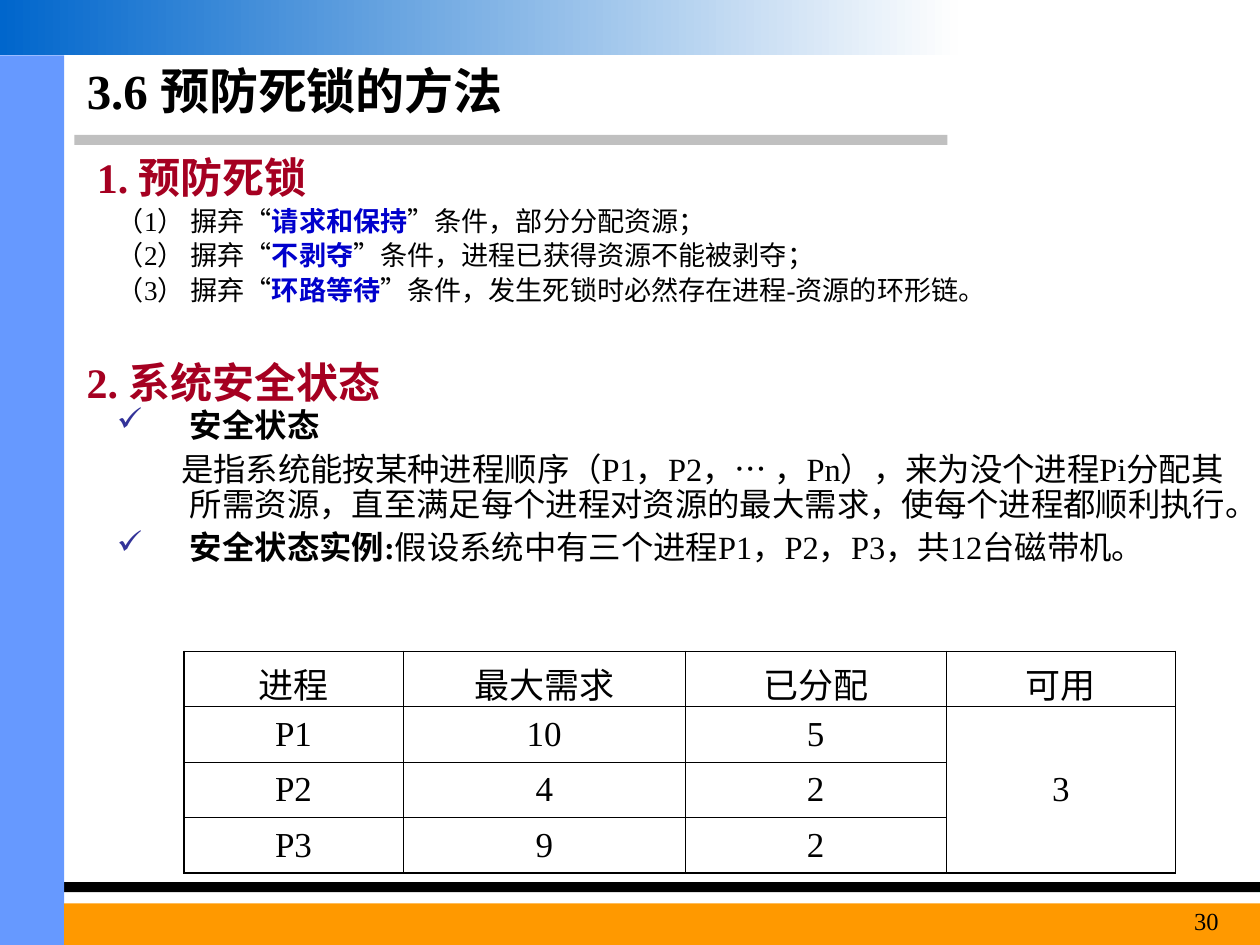
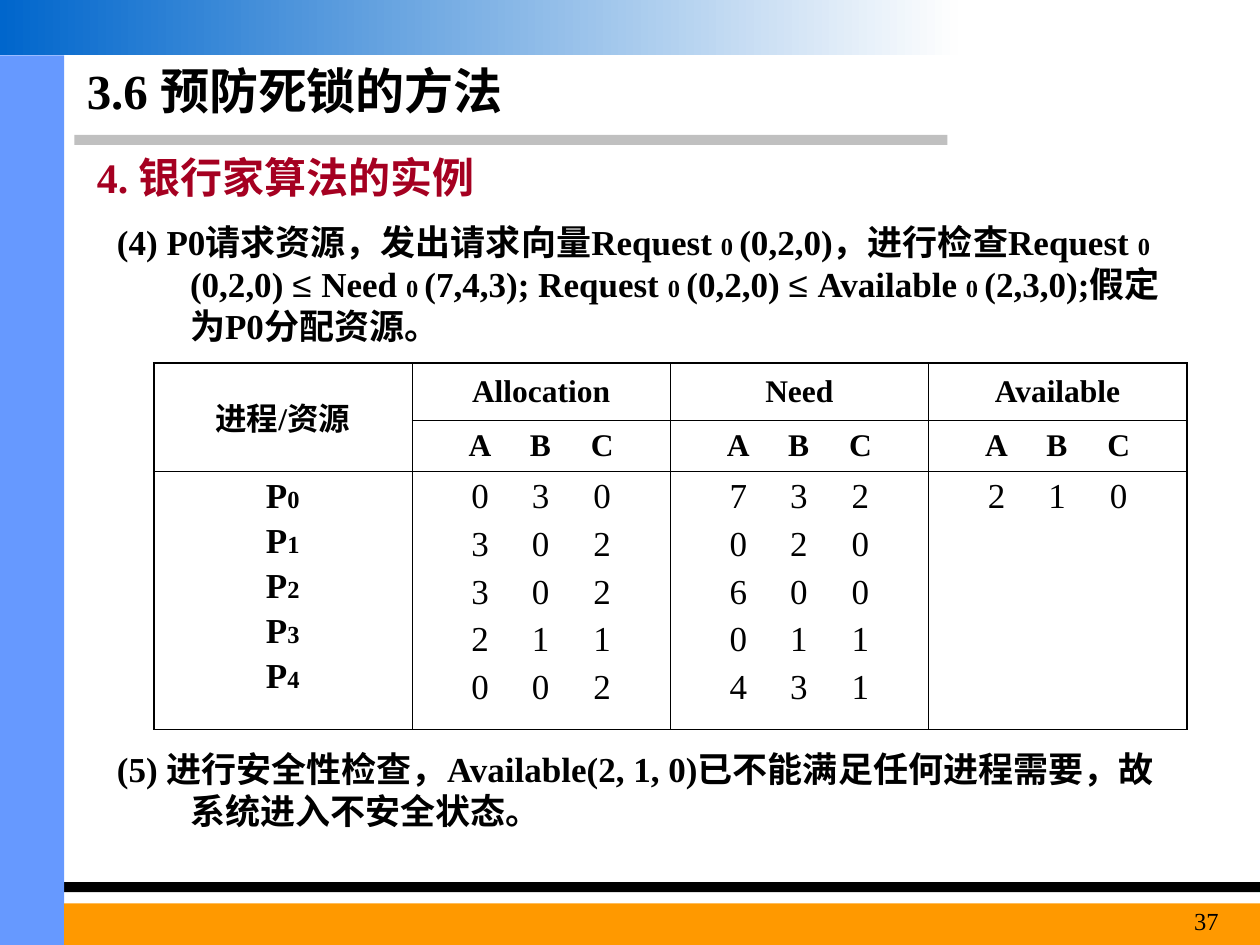
from lxml import etree
from pptx import Presentation
from pptx import util as u
from pptx.dml.color import RGBColor
from pptx.enum import shapes, text
from pptx.oxml import ns

COLORS = {"black": "000000", "gray": "C0C0C0", "side": "6699FF", "footer": "FF9900",
          "band_light": "FEFEFE", "band_dark": "0066CC", "heading": "A50021",
          "term": "0000CC", "check": "333399"}
FONT = "Times New Roman"
THICK, THIN = 1.08, 0.45
HANGING = (0.58, -0.58)
ABC_TABS = (0.44, 0.92, 1.41)

STYLES = {
    "term": {"bold": True, "color": "term"},
    "bold": {"bold": True},
    "index": {"size": 14},
    "sign": {"bold": False, "name": "Arial"},
}

TITLE = "3.6 预防死锁的方法"
BARS = [
    ((0.59, 1.07, 6.93, 0.08), "gray"),
    ((0, 7, 10, 0.08), "black"),
    ((0, 0.44, 0.51, 7.06), "side"),
    ((0.51, 7.17, 9.49, 0.33), "footer"),
]

CONDITIONS = [
    ("1", "请求和保持", "条件，部分分配资源；"),
    ("2", "不剥夺", "条件，进程已获得资源不能被剥夺；"),
    ("3", "环路等待", "条件，发生死锁时必然存在进程-资源的环形链。"),
]
SAFE_STATE = [
    ([("安全状态", "bold")], HANGING, True),
    (["是指系统能按某种进程顺序（P1，P2，… ，Pn），来为没个进程Pi分配其所需资源，"
      "直至满足每个进程对资源的最大需求，使每个进程都顺利执行。"], (0.58, -0.07), False),
    ([("安全状态实例:", "bold"), "假设系统中有三个进程P1，P2，P3，共12台磁带机。"],
     HANGING, True),
]
TAPE_ROWS = [
    ("进程", "最大需求", "已分配", "可用"),
    ("P1", "10", "5", "3"),
    ("P2", "4", "2", None),
    ("P3", "9", "2", None),
]

ZERO = ("0 ", "index")
AT_MOST = ("≤ ", "sign")
REQUEST = [
    "(4) P0请求资源，发出请求向量Request ", ZERO, "(0,2,0)，进行检查Request ", ZERO,
    "(0,2,0) ", AT_MOST, "Need ", ZERO, "(7,4,3); Request ", ZERO,
    "(0,2,0) ", AT_MOST, "Available ", ZERO, "(2,3,0);假定为P0分配资源。",
]
SAFETY_CHECK = ["(5) 进行安全性检查，Available(2, 1, 0)已不能满足任何进程需要，"
                "故系统进入不安全状态。"]
BANKER_CORNER = "进程/资源"
BANKER_GROUPS = {
    "Allocation": ["030", "302", "302", "211", "002"],
    "Need": ["732", "020", "600", "011", "431"],
    "Available": ["210"],
}


def rgb(name):
    return RGBColor.from_string(COLORS[name])


def set_font(font, size=None, bold=None, color=None, name=None):
    if size is not None:
        font.size = u.Pt(size)
    if bold is not None:
        font.bold = bold
    if color:
        font.color.rgb = rgb(color)
    if name:
        font.name = name


def add_child(parent, tag, **attributes):
    return etree.SubElement(parent, ns.qn(tag), attributes)


def paragraph_of(runs, size, bold=False, color="black", before=0, line=None, indent=None,
                 check=False, tabs=(), align=None):
    return dict(runs=runs, font=dict(size=size, bold=bold, color=color, name=FONT),
                before=before, line=line, indent=indent, check=check, tabs=tabs, align=align)


def write(frame, paragraphs):
    for number, item in enumerate(paragraphs):
        paragraph = frame.add_paragraph() if number else frame.paragraphs[0]
        paragraph.space_before = u.Pt(item["before"])
        if item["line"]:
            paragraph.line_spacing = item["line"]
        if item["align"]:
            paragraph.alignment = item["align"]
        properties = paragraph._p.get_or_add_pPr()
        if item["indent"]:
            left, first = item["indent"]
            properties.set("marL", str(u.Inches(left)))
            properties.set("indent", str(u.Inches(first)))
        if item["check"]:
            add_child(add_child(properties, "a:buClr"), "a:srgbClr", val=COLORS["check"])
            add_child(properties, "a:buChar", char="✓")
        if item["tabs"]:
            stops = add_child(properties, "a:tabLst")
            for stop in item["tabs"]:
                add_child(stops, "a:tab", pos=str(u.Inches(stop)), algn="ctr")
        set_font(paragraph.font, **item["font"])
        for part in item["runs"]:
            words, style = (part, None) if isinstance(part, str) else part
            run = paragraph.add_run()
            run.text = words
            if style:
                set_font(run.font, **STYLES[style])


def add_text(slide, place, paragraphs, anchor=text.MSO_ANCHOR.TOP):
    frame = slide.shapes.add_textbox(*map(u.Inches, place)).text_frame
    frame.word_wrap = True
    frame.vertical_anchor = anchor
    write(frame, paragraphs)


def add_bar(slide, place):
    bar = slide.shapes.add_shape(shapes.MSO_SHAPE.RECTANGLE, *map(u.Inches, place))
    bar.shadow.inherit = False
    bar.line.fill.background()
    return bar


def add_heading(slide, top, words, shift=0):
    add_text(slide, (0.59, top, 9.06, 0.5),
             [paragraph_of([words], 24, True, "heading", before=15, indent=(shift, 0))])


def add_slide(presentation, number):
    slide = presentation.slides.add_slide(presentation.slide_layouts[6])
    for place, color in BARS:
        bar = add_bar(slide, place)
        bar.fill.solid()
        bar.fill.fore_color.rgb = rgb(color)
    band = add_bar(slide, (0, 0, 7.6, 0.44))
    band.fill.gradient()
    band.fill.gradient_angle = 180
    for stop, position, color in zip(band.fill.gradient_stops, (0, 1),
                                     ("band_light", "band_dark")):
        stop.position = position
        stop.color.rgb = rgb(color)
    add_text(slide, (0.59, 0.44, 6.85, 0.55), [paragraph_of([TITLE], 28, True)],
             text.MSO_ANCHOR.MIDDLE)
    add_text(slide, (8.86, 7.14, 0.91, 0.36),
             [paragraph_of([str(number)], 14, align=text.PP_ALIGN.RIGHT)])
    return slide


def set_borders(cell, edges):
    properties = cell._tc.get_or_add_tcPr()
    for position, (side, outer) in enumerate(edges.items()):
        line = etree.Element(ns.qn("a:" + side), w=str(u.Pt(THICK if outer else THIN)))
        add_child(add_child(line, "a:solidFill"), "a:srgbClr", val=COLORS["black"])
        properties.insert(position, line)


def add_table(slide, corner, widths, heights, cells, merge):
    size = (sum(widths), sum(heights))
    table = slide.shapes.add_table(len(heights), len(widths),
                                   *map(u.Inches, corner + size)).table
    table.first_row = table.horz_banding = False
    for column, width in zip(table.columns, widths):
        column.width = u.Inches(width)
    for row, height in zip(table.rows, heights):
        row.height = u.Inches(height)
    first, last = merge
    table.cell(*first).merge(table.cell(*last))
    for r, row in enumerate(cells):
        for c, paragraphs in enumerate(row):
            cell = table.cell(r, c)
            cell.fill.background()
            bottom = r + (cell.span_height if cell.is_merge_origin else 1)
            set_borders(cell, {"lnL": c == 0, "lnR": c == len(widths) - 1,
                               "lnT": r == 0, "lnB": bottom == len(heights)})
            several = r == len(cells) - 1 and heights[r] > 1
            cell.vertical_anchor = text.MSO_ANCHOR.TOP if several else text.MSO_ANCHOR.MIDDLE
            if paragraphs:
                write(cell.text_frame, paragraphs)


def centered(runs, size, bold, before):
    return paragraph_of(runs, size, bold, before=before, align=text.PP_ALIGN.CENTER)


def triple(letters, size, bold, before):
    return paragraph_of(["".join("\t" + letter for letter in letters)], size, bold,
                        before=before, tabs=ABC_TABS, align=text.PP_ALIGN.LEFT)


def build_prevention(presentation):
    slide = add_slide(presentation, 30)
    add_heading(slide, 1.15, "1. 预防死锁", 0.08)
    add_text(slide, (0.83, 1.62, 8.9, 1.02), [
        paragraph_of([f"（{number}） 摒弃“", (term, "term"), "”" + rest], 15.5,
                     before=5, line=0.8, indent=HANGING)
        for number, term, rest in CONDITIONS])
    add_heading(slide, 2.78, "2. 系统安全状态")
    add_text(slide, (0.83, 3.2, 9.17, 1.81), [
        paragraph_of(runs, 18.5, before=5, line=0.9, indent=indent, check=check)
        for runs, indent, check in SAFE_STATE])
    cells = [[words and [centered([words], 20, False, 5)] for words in row]
             for row in TAPE_ROWS]
    add_table(slide, (1.46, 5.17), (1.74, 2.24, 2.07, 1.82), (0.44,) * 4, cells,
              ((1, 3), (3, 3)))


def build_banker(presentation):
    slide = add_slide(presentation, 37)
    add_heading(slide, 1.15, "4. 银行家算法的实例", 0.08)
    for place, runs in (((0.83, 1.7, 8.51, 1.1), REQUEST),
                        ((0.83, 5.88, 8.51, 0.87), SAFETY_CHECK)):
        add_text(slide, place, [paragraph_of(runs, 20, True, before=5, indent=HANGING)])
    processes = [centered(["P", (str(number), "index")], 20, True, 3.5)
                 for number in range(5)]
    cells = [
        [[centered([words], 18, True, 4.5)] for words in (BANKER_CORNER, *BANKER_GROUPS)],
        [None] + [[triple("ABC", 18, True, 4.5)] for _ in BANKER_GROUPS],
        [processes] + [[triple(digits, 20, False, 5) for digits in rows]
                       for rows in BANKER_GROUPS.values()],
    ]
    add_table(slide, (1.22, 2.88), (2.05,) * 4, (0.46, 0.4, 2.05), cells, ((0, 0), (1, 0)))


presentation = Presentation()
presentation.slide_width, presentation.slide_height = u.Inches(10), u.Inches(7.5)
build_prevention(presentation)
build_banker(presentation)
presentation.save("out.pptx")
